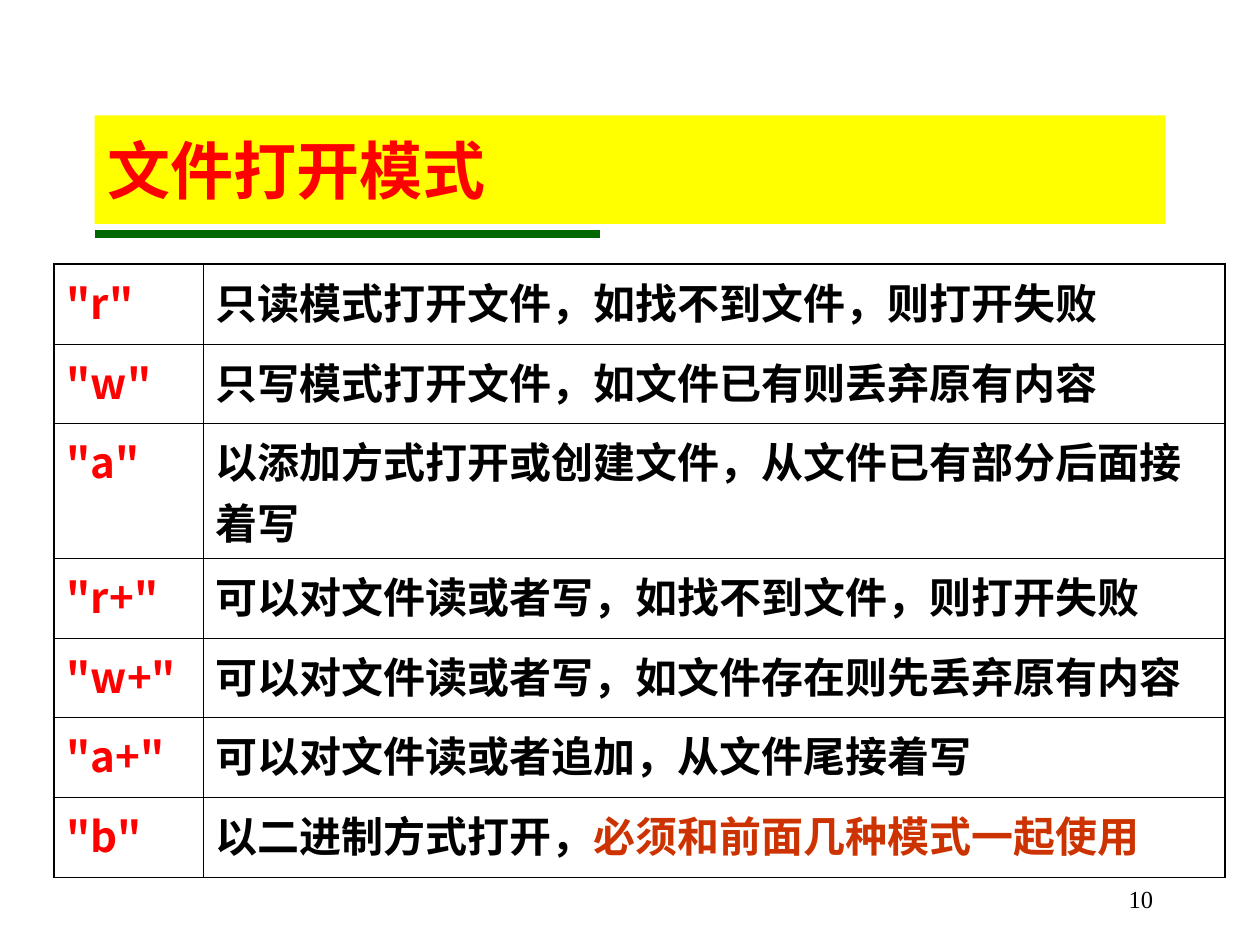
import pptx
import pptx.dml.color
import pptx.enum.shapes
import pptx.enum.text
import pptx.oxml
import pptx.oxml.ns
import pptx.util
from lxml import etree

Pt = pptx.util.Pt
PP_ALIGN = pptx.enum.text.PP_ALIGN
ANCHOR = pptx.enum.text.MSO_ANCHOR
qn = pptx.oxml.ns.qn

CJK = "Noto Sans CJK SC"
BLACK, RED, RUST = "000000", "FF0000", "CC3300"
THIN, THICK = 0.45, 1.08

MODES = [
    ('"r"', [("只读模式打开文件，如找不到文件，则打开失败", BLACK)]),
    ('"w"', [("只写模式打开文件，如文件已有则丢弃原有内容", BLACK)]),
    ('"a"', [("以添加方式打开或创建文件，从文件已有部分后面接着写", BLACK)]),
    ('"r+"', [("可以对文件读或者写，如找不到文件，则打开失败", BLACK)]),
    ('"w+"', [("可以对文件读或者写，如文件存在则先丢弃原有内容", BLACK)]),
    ('"a+"', [("可以对文件读或者追加，从文件尾接着写", BLACK)]),
    ('"b"', [("以二进制方式打开，", BLACK), ("必须和前面几种模式一起使用", RUST)]),
]


def rgb(color):
    return pptx.dml.color.RGBColor.from_string(color)


def add_text(p, text, size=24, font=CJK, color=BLACK, bold=True):
    r = p.add_run()
    r.text = text
    r.font.size, r.font.name, r.font.bold = Pt(size), font, bold
    r.font.color.rgb = rgb(color)
    etree.SubElement(r.font._element, qn("a:ea")).set("typeface", font)


def set_borders(cell, **widths):
    """Draw black cell borders; keys are L, R, T and B, in that order."""
    tcPr = cell._tc.get_or_add_tcPr()
    for side, width in widths.items():
        ln = etree.SubElement(tcPr, qn(f"a:ln{side}"), w=str(int(Pt(width))))
        fill = etree.SubElement(ln, qn("a:solidFill"))
        etree.SubElement(fill, qn("a:srgbClr"), val=BLACK)


class SlideBuilder:
    def __init__(self, prs):
        self.s = prs.slides.add_slide(prs.slide_layouts[5])

    def title(self, text, x, y, w, h):
        sp = self.s.shapes.title
        sp.left, sp.top, sp.width, sp.height = map(Pt, (x, y, w, h))
        sp.fill.solid()
        sp.fill.fore_color.rgb = rgb("FFFF00")
        tf = sp.text_frame
        tf.auto_size = pptx.enum.text.MSO_AUTO_SIZE.NONE
        tf.vertical_anchor = ANCHOR.MIDDLE
        tf.paragraphs[0].alignment = PP_ALIGN.LEFT
        add_text(tf.paragraphs[0], text, size=36, color=RED)

    def rule(self, x1, x2, y, color, width):
        line = self.s.shapes.add_connector(
            pptx.enum.shapes.MSO_CONNECTOR.STRAIGHT, Pt(x1), Pt(y), Pt(x2), Pt(y))
        line.line.color.rgb = rgb(color)
        line.line.width = Pt(width)
        etree.SubElement(line._element.spPr, qn("a:effectLst"))

    def table(self, rows, x, y, col_widths, row_heights):
        table = self.s.shapes.add_table(
            len(rows), len(col_widths), Pt(x), Pt(y),
            Pt(sum(col_widths)), Pt(sum(row_heights))).table
        table.first_row = table.horz_banding = False
        for col, width in zip(table.columns, col_widths):
            col.width = Pt(width)
        last = len(rows) - 1
        for i, (mode, meaning) in enumerate(rows):
            table.rows[i].height = Pt(row_heights[i])
            for j, runs in enumerate(([(mode, RED)], meaning)):
                cell = table.cell(i, j)
                set_borders(cell,
                            L=THICK if j == 0 else THIN,
                            R=THICK if j == 1 else THIN,
                            T=THICK if i in (0, last) else THIN,
                            B=THICK if i >= last - 1 else THIN)
                cell.fill.background()
                p = cell.text_frame.paragraphs[0]
                p.space_before = Pt(6)
                for text, color in runs:
                    add_text(p, text, color=color)

    def page_number(self, text, x, y, w, h):
        tf = self.s.shapes.add_textbox(Pt(x), Pt(y), Pt(w), Pt(h)).text_frame
        tf.word_wrap = True
        tf.vertical_anchor = ANCHOR.BOTTOM
        tf.paragraphs[0].alignment = PP_ALIGN.RIGHT
        add_text(tf.paragraphs[0], text, size=14, font="Times New Roman", bold=False)


def main():
    prs = pptx.Presentation()
    prs.slide_width, prs.slide_height = Pt(720), Pt(540)
    slide = SlideBuilder(prs)
    slide.rule(54, 342.9, 133.8, "006600", 4.5)
    slide.title("文件打开模式", 54, 66, 612, 62)
    slide.table(MODES, 31, 151, (85, 584),
                [65 if mode == '"a"' else 45.6 for mode, _ in MODES])
    slide.page_number("10", 516, 498, 150, 27.5)
    prs.save("out.pptx")


if __name__ == "__main__":
    main()
